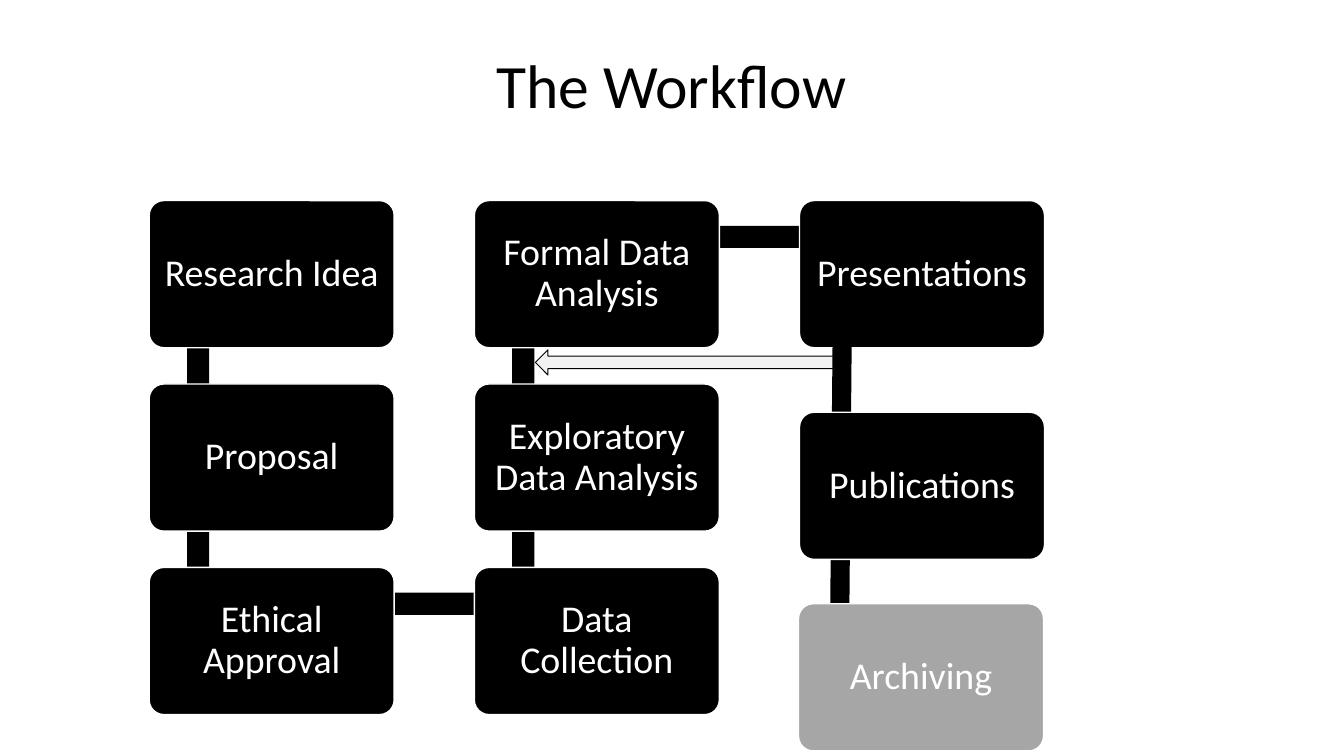
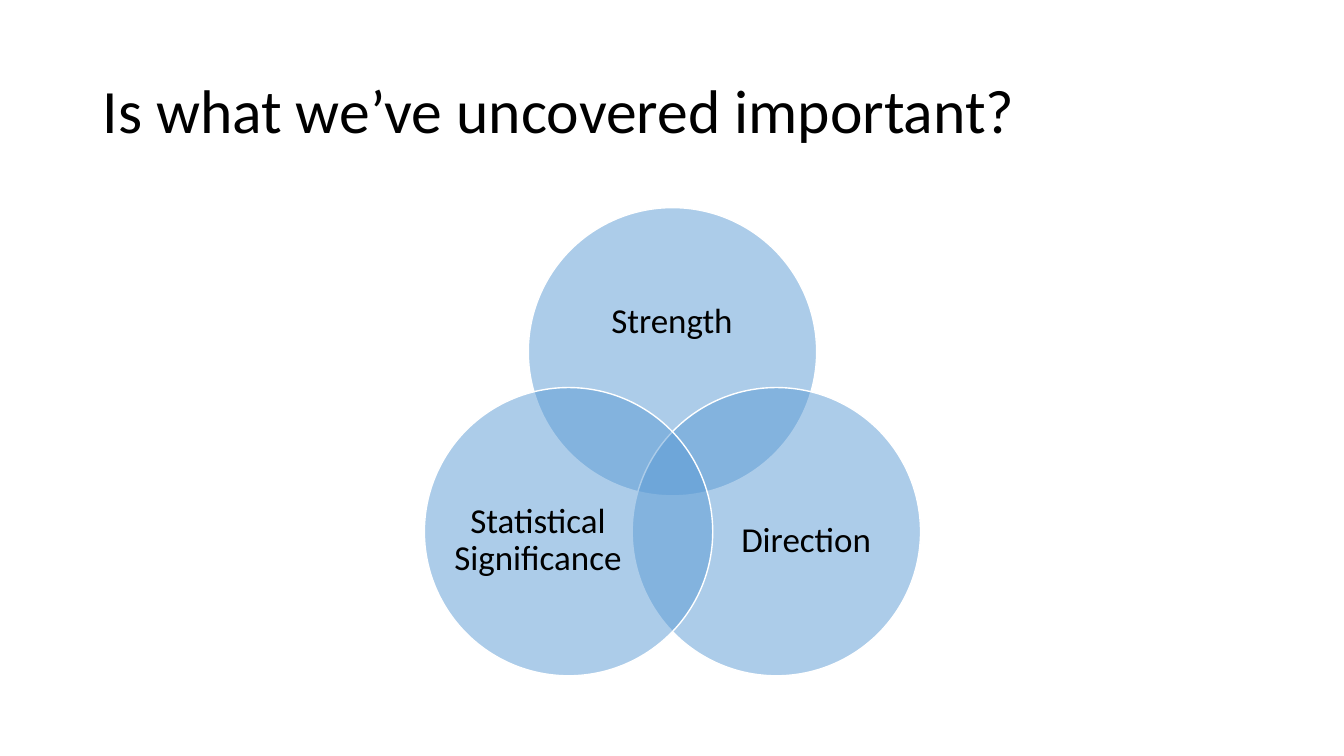
from math import cos, radians, sin

from lxml.etree import SubElement
from pptx import Presentation
from pptx.dml.color import RGBColor
from pptx.enum.shapes import MSO_SHAPE as Shape
from pptx.enum.text import MSO_ANCHOR as Anchor, PP_ALIGN as Align
from pptx.oxml.ns import qn
from pptx.util import Inches, Pt

# Shared style
FONT = "Calibri"
BLACK = RGBColor(0x00, 0x00, 0x00)
WHITE = RGBColor(0xFF, 0xFF, 0xFF)
GREY = RGBColor(0xA6, 0xA6, 0xA6)
PALE = RGBColor(0xF2, 0xF2, 0xF2)
BLUE = RGBColor(0x5B, 0x9B, 0xD5)

# Workflow grid
STEP_W, STEP_H = 2.43, 1.46
COLUMNS = [1.48, 4.705, 7.93]
ROWS = [1.99, 3.81, 5.63]
BAR = 0.22

# Venn diagram
CENTER_X, CENTER_Y = 6.67, 4.68
ORBIT, RADIUS = 1.19, 1.43


def write(shape, text, size, color, align=Align.CENTER, inset=None):
    frame = shape.text_frame
    frame.word_wrap = True
    frame.vertical_anchor = Anchor.MIDDLE
    if inset is not None:
        frame.margin_left = frame.margin_right = Inches(inset)
        frame.margin_top = frame.margin_bottom = Inches(inset)
    para = frame.paragraphs[0]
    para.text = text
    para.alignment = align
    para.line_spacing = 0.9
    para.font.name = FONT
    para.font.size = Pt(size)
    para.font.color.rgb = color


def add_label(page, text, left, top, width, height, size, **style):
    box = page.shapes.add_textbox(Inches(left), Inches(top), Inches(width), Inches(height))
    write(box, text, size, BLACK, **style)


def add_title(page, text, left, top, align):
    add_label(page, text, left, top, 11.5, 1.45, 44, align=align)


def add_figure(page, kind, left, top, width, height, fill, line=None, weight=1):
    figure = page.shapes.add_shape(
        kind, Inches(left), Inches(top), Inches(width), Inches(height))
    figure.shadow.inherit = False
    figure.fill.solid()
    figure.fill.fore_color.rgb = fill
    if line is None:
        figure.line.fill.background()
    else:
        figure.line.color.rgb = line
        figure.line.width = Pt(weight)
    return figure


def add_step(page, text, left, top, fill=BLACK):
    step = add_figure(page, Shape.ROUNDED_RECTANGLE, left, top, STEP_W, STEP_H, fill, WHITE)
    step.adjustments[0] = 0.1
    write(step, text, 27, WHITE, inset=0.11)


def add_bar_down(page, left, top):
    """Bar from the step at this corner to the step below it."""
    add_figure(page, Shape.RECTANGLE, left + 0.375, top + 0.365, BAR, 1.81, BLACK)


def add_bar_right(page, left, top):
    """Bar from the step at this corner to the step on its right."""
    add_figure(page, Shape.RECTANGLE, left + 0.49, top + 0.25, 3.22, BAR, BLACK)


def add_circle(page, angle):
    left = CENTER_X + ORBIT * cos(radians(angle)) - RADIUS
    top = CENTER_Y + ORBIT * sin(radians(angle)) - RADIUS
    circle = add_figure(page, Shape.OVAL, left, top, 2 * RADIUS, 2 * RADIUS, BLUE, WHITE)
    color = circle.fill._xPr.find(qn("a:solidFill"))[0]
    SubElement(color, qn("a:alpha")).set("val", "50000")


def build_workflow(page):
    # Bars lie under the steps
    first, second, third = COLUMNS
    for left in (first, second):
        for top in ROWS[:2]:
            add_bar_down(page, left, top)
    add_bar_right(page, first, ROWS[2])
    add_bar_right(page, second, ROWS[0])

    # Two full columns; the second one runs upwards
    columns = [
        ["Research Idea", "Proposal", "Ethical Approval"],
        ["Formal Data Analysis", "Exploratory Data Analysis", "Data Collection"],
    ]
    for left, texts in zip(COLUMNS, columns):
        for top, text in zip(ROWS, texts):
            add_step(page, text, left, top)

    # Way back to the analysis, and the output column
    add_figure(page, Shape.LEFT_ARROW, 5.31, 3.47, 3.11, 0.25, PALE, BLACK, 0.75)
    add_step(page, "Presentations", third, ROWS[0])
    bar = add_figure(page, Shape.RECTANGLE, 7, 4.67, 2.68, 0.19, BLACK)
    bar.rotation = 90.5
    add_step(page, "Publications", third, 4.09)
    add_step(page, "Archiving", 7.92, 5.99, GREY)

    add_title(page, "The Workflow", 0.91, 0.15, Align.CENTER)


def build_importance(page):
    add_title(page, "Is what we’ve uncovered important?", 0.92, 0.4, Align.LEFT)
    circles = [
        (-90, "Strength", 5.62, 2.56, 2.09, 1.28),
        (30, "Direction", 7.14, 4.58, 1.71, 1.57),
        (150, "Statistical Significance", 4.48, 4.58, 1.71, 1.57),
    ]
    for angle, text, *place in circles:
        add_circle(page, angle)
        add_label(page, text, *place, 25, inset=0)


def main():
    deck = Presentation()
    deck.slide_width, deck.slide_height = Inches(13.33), Inches(7.5)
    for build in (build_workflow, build_importance):
        build(deck.slides.add_slide(deck.slide_layouts[6]))
    deck.save("out.pptx")


if __name__ == "__main__":
    main()
